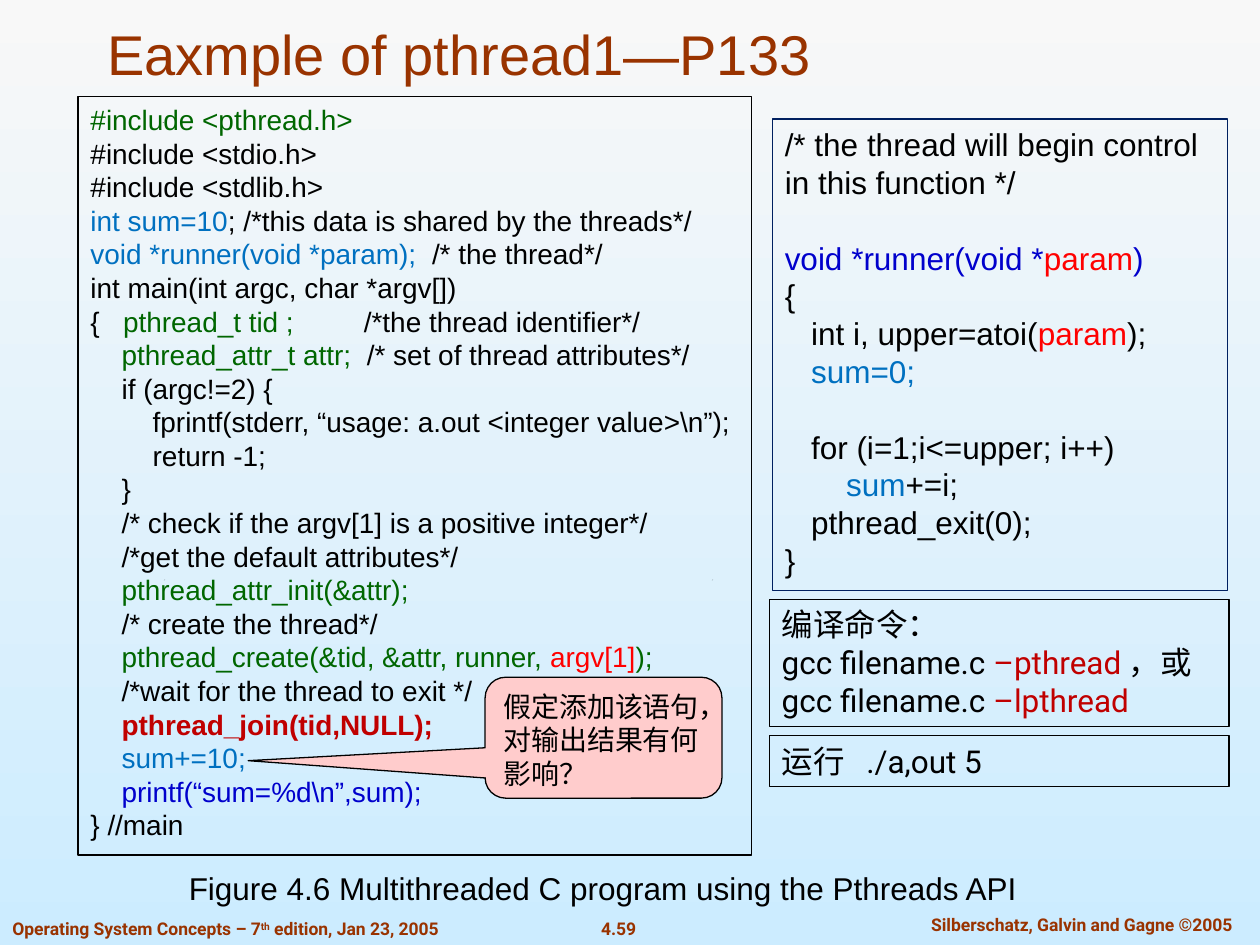
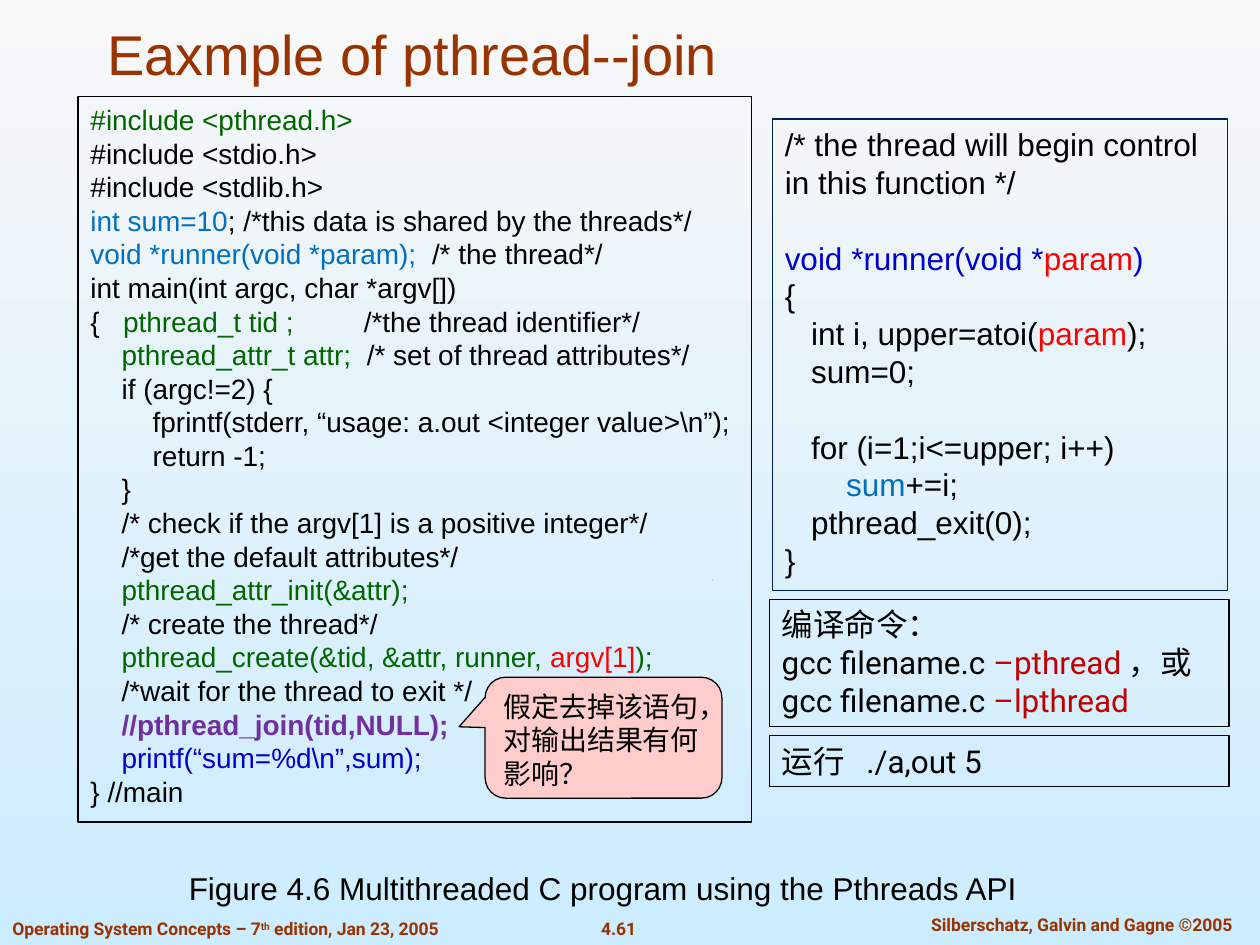
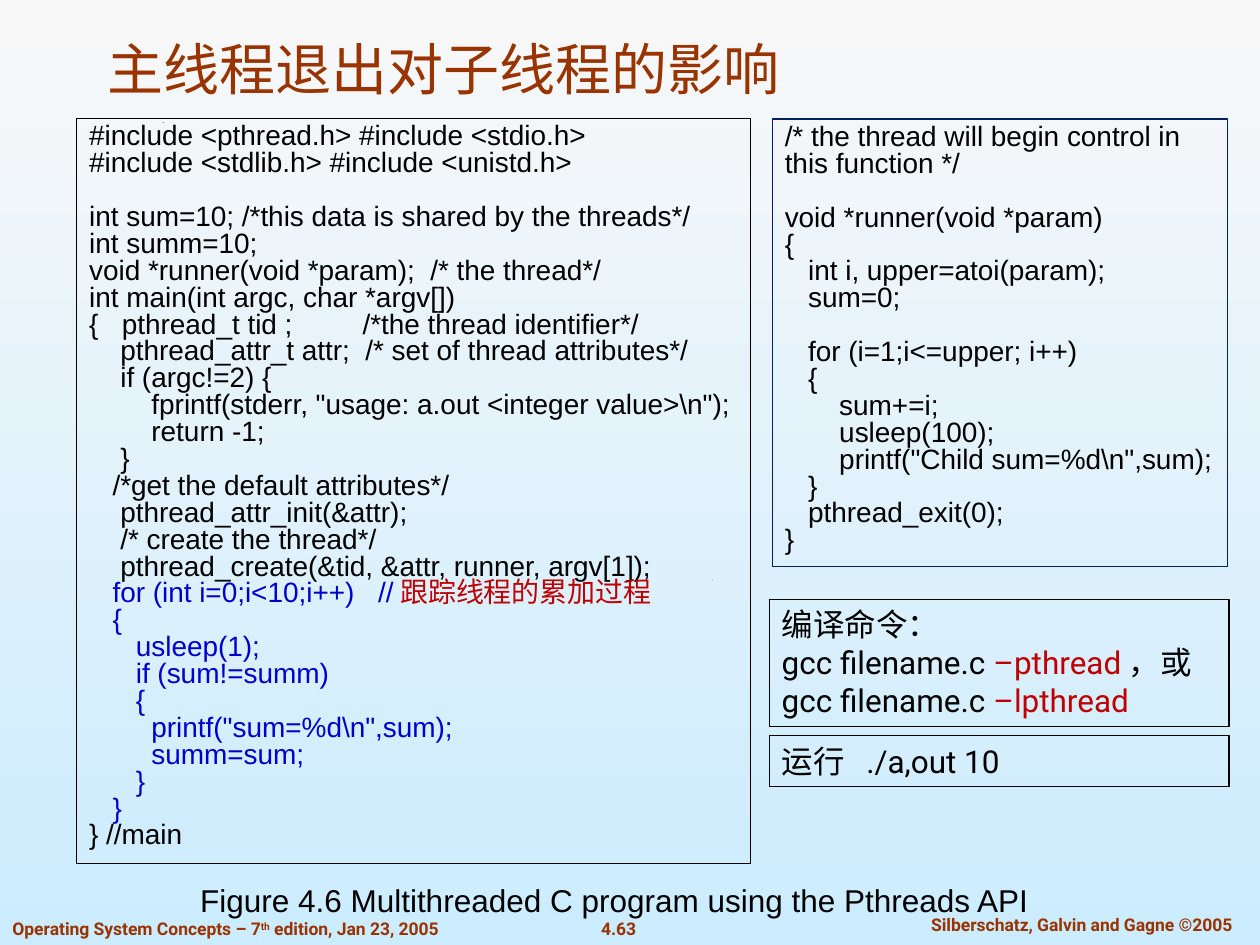
import pptx
import pptx.dml.color
import pptx.enum.shapes
import pptx.enum.text
import pptx.util

COLS, ROWS = 100, 75  # the grid that all places and sizes are given in
CELL = pptx.util.Inches(10) / COLS
BLACK, BROWN, NAVY, PINK = "000000", "993300", "002060", "FFCCCC"
GREEN, BLUE, INK, RED, CRIMSON, PURPLE = (
    "006600", "0070C0", "0000CC", "FF0000", "C00000", "7030A0")
SPACE = 0.278  # width of a space, as a share of the text size
PITCH = 1.2  # line height, as a share of the text size
TIGHT = 0.96
SPECKS = [(17.6, 54.25), (13, 46), (56.5, 46), (12.9, 9.7)]

# A line of code is its indent in spaces, then pieces of text, each plain or paired
# with a colour and, if wanted, bold. A number is a gap that many spaces wide.
# None leaves a line free.
MAIN_LINES = [
    (0, ("#include <pthread.h>", GREEN)),
    (0, "#include <stdio.h>"),
    (0, "#include <stdlib.h>"),
    (0, ("int sum=10", BLUE), "; /*this data is shared by the threads*/"),
    (0, ("void *runner(void *param);  ", BLUE), "/* the thread*/"),
    (0, "int main(int argc, char *argv[])"),
    (0, "{", 3, ("pthread_t tid ;", GREEN), 9, "/*the thread identifier*/"),
    (4, ("pthread_attr_t attr;  ", GREEN), "/* set of thread attributes*/"),
    (4, "if (argc!=2) {"),
    (8, "fprintf(stderr, “usage: a.out <integer value>\\n”);"),
    (8, "return -1;"),
    (4, "}"),
    (4, "/* check if the argv[1] is a positive integer*/"),
    (4, "/*get the default attributes*/"),
    (4, ("pthread_attr_init(&attr);", GREEN)),
    (4, "/* create the thread*/"),
    (4, ("pthread_create(&tid, &attr, runner, ", GREEN), ("argv[1]", RED), (");", GREEN)),
    (4, "/*wait for the thread to exit */"),
]
END_LINES = [
    (4, ("printf(“sum=%d\\n”,sum);", INK)),
    (0, "} //main"),
]
JOIN_LINES = [
    (4, ("pthread_join(tid,NULL);", CRIMSON, True)),
    (4, ("sum+=10;", BLUE)),
]
NO_JOIN_LINES = [(4, ("//pthread_join(tid,NULL);", PURPLE, True))]
EXIT_MAIN_LINES = [
    (0, "#include <pthread.h> #include <stdio.h>"),
    (0, "#include <stdlib.h> #include <unistd.h>"),
    None,
    (0, "int sum=10; /*this data is shared by the threads*/"),
    (0, "int summ=10;"),
    (0, "void *runner(void *param);  /* the thread*/"),
    (0, "int main(int argc, char *argv[])"),
    (0, "{", 3, "pthread_t tid ;", 9, "/*the thread identifier*/"),
    (4, "pthread_attr_t attr;  /* set of thread attributes*/"),
    (4, "if (argc!=2) {"),
    (8, 'fprintf(stderr, "usage: a.out <integer value>\\n");'),
    (8, "return -1;"),
    (4, "}"),
    (3, "/*get the default attributes*/"),
    (4, "pthread_attr_init(&attr);"),
    (4, "/* create the thread*/"),
    (4, "pthread_create(&tid, &attr, runner, argv[1]);"),
    (3, ("for (int i=0;i<10;i++)", INK), 3, ("//", INK), ("跟踪线程的累加过程", CRIMSON)),
    (3, ("{", INK)),
    (6, ("usleep(1);", INK)),
    (6, ("if (sum!=summ)", INK)),
    (6, ("{", INK)),
    (8, ('printf("sum=%d\\n",sum);', INK)),
    (8, ("summ=sum;", INK)),
    (6, ("}", INK)),
    (3, ("}", INK)),
    (0, "} //main"),
]
EXIT_RUNNER_LINES = [
    (0, "/* the thread will begin control in this function */"),
    None,
    (0, "void *runner(void *param)"),
    (0, "{"),
    (3, "int i, upper=atoi(param);"),
    (3, "sum=0;"),
    None,
    (3, "for (i=1;i<=upper; i++)"),
    (3, "{"),
    (7, "sum+=i;"),
    (7, "usleep(100);"),
    (7, 'printf("Child sum=%d\\n",sum);'),
    (3, "}"),
    (3, "pthread_exit(0);"),
    (0, "}"),
]
COMPILE_LINES = [
    (0, "编译命令："),
    (0, "gcc filename.c ", ("–pthread", CRIMSON), "，或"),
    (0, "gcc filename.c ", ("–lpthread", CRIMSON)),
]


def runner_lines(reset_color):
    return [
        (0, "/* the thread will begin control in this function */"),
        None,
        (0, ("void *runner(void *", INK), ("param", RED), (")", INK)),
        (0, "{"),
        (3, "int i, upper=atoi(", ("param", RED), ");"),
        (3, ("sum=0;", reset_color)),
        None,
        (3, "for (i=1;i<=upper; i++)"),
        (7, ("sum", BLUE), "+=i;"),
        (3, "pthread_exit(0);"),
        (0, "}"),
    ]


def rgb(color):
    return pptx.dml.color.RGBColor.from_string(color)


def grid(*cells):
    return [pptx.util.Emu(round(c * CELL)) for c in cells]


def add_run(p, text, size=16, font="Arial", color=BLACK, bold=False, raised=False,
            spacing=0):
    r = p.add_run()
    r.text = text
    r.font.size = pptx.util.Pt(size)
    r.font.name = font
    r.font.bold = bold
    r.font.color.rgb = rgb(color)
    if raised:
        r.font._element.set("baseline", "30000")
    if spacing:
        r.font._element.set("spc", str(round(spacing * 100)))


def add_piece(p, piece, size, font):
    if isinstance(piece, int):
        add_run(p, " ", size, font, spacing=(piece - 1) * SPACE * size)
        return
    text, color, *bold = (piece, BLACK) if isinstance(piece, str) else piece
    add_run(p, text, size, font, color, bool(bold))


def write_lines(tf, lines, size=16, font="Arial", pitch=PITCH):
    height = pptx.util.Pt(round(size * pitch, 2))
    gap = 0
    p = None
    for line in lines:
        if line is None:
            gap += height
            continue
        p = tf.add_paragraph() if p else tf.paragraphs[0]
        indent, *pieces = line
        p.alignment = pptx.enum.text.PP_ALIGN.LEFT
        p.line_spacing = height
        if gap:
            p.space_before = pptx.util.Emu(gap)
            gap = 0
        pPr = p._p.get_or_add_pPr()
        pPr.set("marL", str(pptx.util.Pt(indent * SPACE * size)))
        pPr.set("indent", "0")
        for piece in pieces:
            add_piece(p, piece, size, font)


def add_box(s, place, lines, line=BLACK, fill=None, kind="RECTANGLE", **fmt):
    sp = s.shapes.add_shape(getattr(pptx.enum.shapes.MSO_SHAPE, kind), *grid(*place))
    sp.shadow.inherit = False
    sp.line.color.rgb = rgb(line)
    sp.line.width = pptx.util.Pt(0.75)
    if fill:
        sp.fill.solid()
        sp.fill.fore_color.rgb = rgb(fill)
    else:
        sp.fill.background()
    sp.text_frame.word_wrap = True
    sp.text_frame.vertical_anchor = pptx.enum.text.MSO_ANCHOR.TOP
    write_lines(sp.text_frame, lines, **fmt)
    return sp


def add_callout(s, text, tip):
    sp = add_box(s, (38.5, 53.75, 18.8, 9.6), [(0, text)], fill=PINK,
                 kind="ROUNDED_RECTANGULAR_CALLOUT")
    for i, value in enumerate((*tip, 0.17)):
        sp.adjustments[i] = value


def add_label(s, place, *pieces, align="LEFT", wrap=True, **fmt):
    tf = s.shapes.add_textbox(*grid(*place)).text_frame
    tf.word_wrap = wrap
    p = tf.paragraphs[0]
    p.alignment = getattr(pptx.enum.text.PP_ALIGN, align)
    for i, text in enumerate(pieces):
        add_run(p, text, raised=i == 1, **fmt)


def add_speck(s, x, y):
    """A tiny black triangle of the background."""
    outline = s.shapes.build_freeform(*grid(x, y + 0.05))
    outline.add_line_segments([grid(x + 0.1, y), grid(x + 0.05, y + 0.05)], close=True)
    sp = outline.convert_to_shape()
    sp.shadow.inherit = False
    sp.fill.solid()
    sp.fill.fore_color.rgb = rgb(BLACK)
    sp.line.fill.background()


def add_footer(s, page):
    fmt = dict(size=10, font="Roboto", color=BROWN, bold=True)
    add_label(s, (0, 72.35, 42.1, 2.7), "Operating System Concepts – 7", "th",
              " edition, Jan 23, 2005", **fmt)
    add_label(s, (46.45, 72.35, 5.3, 2.7), page, align="CENTER", wrap=False, **fmt)
    add_label(s, (71, 72.05, 29.7, 2.7), "Silberschatz, Galvin and Gagne ©2005",
              align="CENTER", **fmt)


def set_title(s, text, height):
    sp = s.shapes.title
    sp.left, sp.top, sp.width, sp.height = grid(7.5, 2.5, 88.3, height)
    tf = sp.text_frame
    tf.auto_size = pptx.enum.text.MSO_AUTO_SIZE.NONE
    tf.vertical_anchor = pptx.enum.text.MSO_ANCHOR.BOTTOM
    tf.paragraphs[0].alignment = pptx.enum.text.PP_ALIGN.LEFT
    add_run(tf.paragraphs[0], text, size=32, color=BROWN)


def add_code_slide(prs, title, page, main, main_place, runner, runner_height, argument,
                   title_height=4.9, caption_at=(14, 68.5), runner_size=18, pitch=PITCH):
    s = prs.slides.add_slide(prs.slide_layouts[5])
    for x, y in SPECKS:
        add_speck(s, x, y)
    add_footer(s, page)
    set_title(s, title, title_height)
    add_box(s, (61.05, 47.55, 36.5, 10.1), COMPILE_LINES, size=18, font="Roboto")
    add_box(s, main_place, main, pitch=pitch)
    add_box(s, (61.3, 9.45, 36.1, runner_height), runner, line=NAVY,
            size=runner_size, pitch=pitch)
    add_label(s, (*caption_at, 73.4, 4),
              "Figure 4.6 Multithreaded C program using the Pthreads API", size=18)
    add_box(s, (61.05, 58.4, 36.5, 4), [(0, f"运行  ./a,out {argument}")],
            size=18, font="Roboto")
    return s


def set_background(prs):
    fill = prs.slide_master.background.fill
    fill.gradient()
    fill.gradient_angle = 270
    for stop, color in zip(fill.gradient_stops, ("F8F8F8", "CCECFF")):
        stop.color.rgb = rgb(color)


def main():
    prs = pptx.Presentation()
    prs.slide_width, prs.slide_height = grid(COLS, ROWS)
    set_background(prs)

    s = add_code_slide(prs, "Eaxmple of pthread1—P133", "4.59",
                       MAIN_LINES + JOIN_LINES + END_LINES, (6.2, 7.65, 53.45, 60.2),
                       runner_lines(BLUE), 37.4, 5)
    add_callout(s, "假定添加该语句，对输出结果有何影响？", (-1.5, 0.19))

    s = add_code_slide(prs, "Eaxmple of pthread--join", "4.61",
                       MAIN_LINES + NO_JOIN_LINES + END_LINES, (6.2, 7.65, 53.45, 57.6),
                       runner_lines(BLACK), 37.4, 5)
    add_callout(s, "假定去掉该语句，对输出结果有何影响？", (-0.61, -0.09))

    add_code_slide(prs, "主线程退出对子线程的影响", "4.63",
                   EXIT_MAIN_LINES, (6.1, 9.4, 53.45, 59.15),
                   EXIT_RUNNER_LINES, 35.5, 10, title_height=6.1,
                   caption_at=(14.9, 69.4), runner_size=16, pitch=TIGHT)
    prs.save("out.pptx")


if __name__ == "__main__":
    main()
